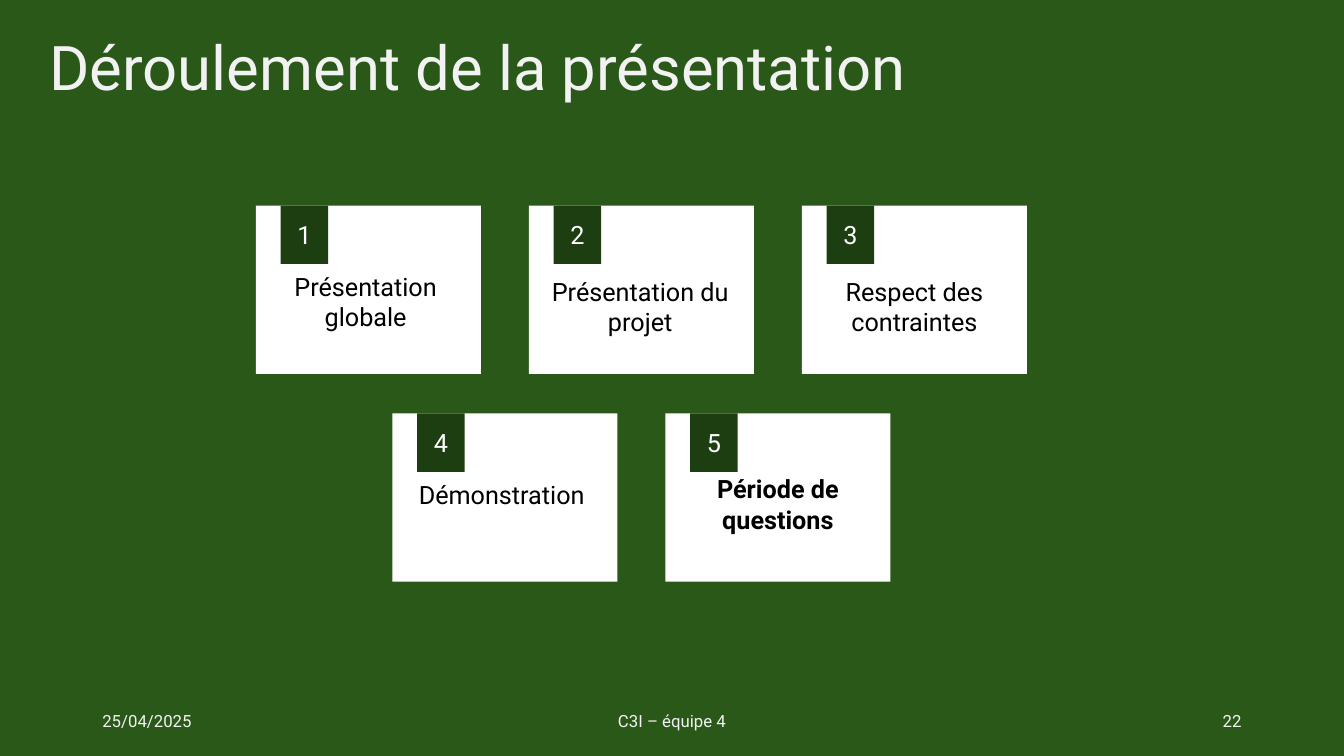
from pptx import Presentation
from pptx.dml.color import RGBColor
from pptx.enum.shapes import MSO_SHAPE
from pptx.enum.text import MSO_ANCHOR, PP_ALIGN
from pptx.util import Cm, Pt

COLORS = {
    "back": "295818",
    "badge": "1D3E11",
    "card": "FFFFFF",
    "light": "F2F2F2",
    "dark": "000000",
}


class Deck:
    font = "Roboto"

    def __init__(self):
        self.prs = Presentation()
        self.prs.slide_width = Cm(33.87)
        self.prs.slide_height = Cm(19.05)
        self.slide = self.prs.slides.add_slide(self.prs.slide_layouts[6])
        self.paint(self.slide.background.fill, "back")

    def paint(self, fill, color):
        fill.solid()
        fill.fore_color.rgb = RGBColor.from_string(COLORS[color])

    def style(self, shape, text, size, color, align, bold=False, line=None):
        frame = shape.text_frame
        frame.word_wrap = True
        frame.vertical_anchor = MSO_ANCHOR.MIDDLE
        frame.text = text
        for para in frame.paragraphs:
            para.alignment = align
            if line:
                para.line_spacing = line
            for run in para.runs:
                run.font.name = self.font
                run.font.size = Pt(size)
                run.font.bold = bold
                run.font.color.rgb = RGBColor.from_string(COLORS[color])
        return frame

    def rect(self, left, top, width, height, color):
        shape = self.slide.shapes.add_shape(
            MSO_SHAPE.RECTANGLE, Cm(left), Cm(top), Cm(width), Cm(height))
        shape.shadow.inherit = False
        self.paint(shape.fill, color)
        shape.line.fill.background()
        return shape

    def text(self, left, top, width, height, text, size, color="light",
             align=PP_ALIGN.LEFT, bold=False, line=None):
        box = self.slide.shapes.add_textbox(
            Cm(left), Cm(top), Cm(width), Cm(height))
        return self.style(box, text, size, color, align, bold, line)

    def label(self, left, top, width, text, bold):
        frame = self.text(left, top, width, 1.55, text, 18, "dark",
                          PP_ALIGN.CENTER, bold)
        frame.vertical_anchor = MSO_ANCHOR.TOP
        frame.margin_left = frame.margin_right = 0
        frame.margin_top = frame.margin_bottom = 0

    def card(self, left, top, num, text, shift, drop, bold):
        self.rect(left, top, 5.67, 4.24, "card")
        badge = self.rect(left + 0.62, top, 1.2, 1.47, "badge")
        self.style(badge, str(num), 18, "card", PP_ALIGN.CENTER)
        self.label(left + shift, top + drop, 5.67, text, bold)


def main():
    deck = Deck()
    deck.text(1, 0.56, 29.21, 2.44, "Déroulement de la présentation", 44,
              line=0.9)

    pitch = 6.88
    rows = [
        (6.45, 5.18, [
            ("Présentation globale", -0.07, 1.65, False),
            ("Présentation du projet", -0.03, 1.78, False),
            ("Respect des contraintes", 0, 1.78, False),
        ]),
        (6.45 + pitch / 2, 10.42, [
            ("Démonstration", -0.08, 1.67, False),
            ("Période de\nquestions", 0, 1.52, True),
        ]),
    ]
    num = 0
    for left, top, cards in rows:
        for col, (text, shift, drop, bold) in enumerate(cards):
            num += 1
            deck.card(left + col * pitch, top, num, text, shift, drop, bold)

    for left, width, text, align in [
        (2.33, 7.62, "25/04/2025", PP_ALIGN.LEFT),
        (11.22, 11.43, "C3I – équipe 4", PP_ALIGN.CENTER),
        (23.92, 7.62, "22", PP_ALIGN.RIGHT),
    ]:
        deck.text(left, 17.66, width, 1.01, text, 12, align=align)

    deck.prs.save("out.pptx")


if __name__ == "__main__":
    main()
